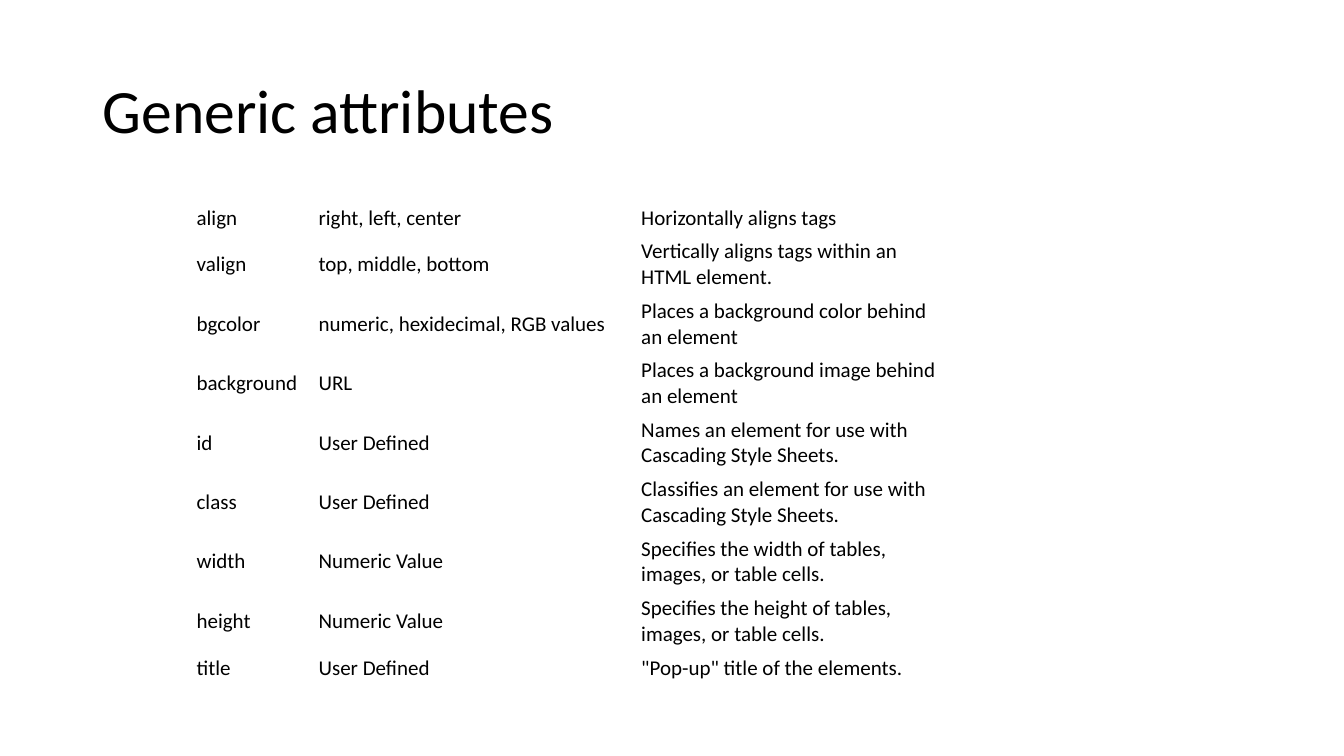
"""Build a slide with a table of generic HTML attributes."""
from pptx import Presentation
from pptx.dml.color import RGBColor
from pptx.enum.text import MSO_ANCHOR
from pptx.util import Inches, Pt

MIDDLE = MSO_ANCHOR.MIDDLE
COLORS = {"text": "000000"}
FONT = "Calibri"
COLUMN_WIDTHS = [1.21, 3.2, 3.2]
SINGLE_ROW, DOUBLE_ROW = 0.33, 0.59
ATTRIBUTES = [
    ("align", "right, left, center", "Horizontally aligns tags"),
    ("valign", "top, middle, bottom", "Vertically aligns tags within an HTML element."),
    ("bgcolor", "numeric, hexidecimal, RGB values", "Places a background color behind an element"),
    ("background", "URL", "Places a background image behind an element"),
    ("id", "User Defined", "Names an element for use with Cascading Style Sheets."),
    ("class", "User Defined", "Classifies an element for use with Cascading Style Sheets."),
    ("width", "Numeric Value", "Specifies the width of tables, images, or table cells."),
    ("height", "Numeric Value", "Specifies the height of tables, images, or table cells."),
    ("title", "User Defined", "\"Pop-up\" title of the elements."),
]
LAST_ROW = len(ATTRIBUTES) - 1
ROW_HEIGHTS = [SINGLE_ROW if row in (0, LAST_ROW) else DOUBLE_ROW for row in range(len(ATTRIBUTES))]


def write_text(text_frame, text, size, line_spacing=None):
    text_frame.word_wrap = True
    paragraph = text_frame.paragraphs[0]
    paragraph.line_spacing = line_spacing
    run = paragraph.add_run()
    run.text = text
    run.font.name = FONT
    run.font.size = Pt(size)
    run.font.color.rgb = RGBColor.from_string(COLORS["text"])


presentation = Presentation()
presentation.slide_width = Inches(13.33)
presentation.slide_height = Inches(7.5)
slide = presentation.slides.add_slide(presentation.slide_layouts[6])

title = slide.shapes.add_textbox(Inches(0.92), Inches(0.4), Inches(11.5), Inches(1.45))
title.text_frame.vertical_anchor = MIDDLE
write_text(title.text_frame, "Generic attributes", size=44, line_spacing=0.9)

table = slide.shapes.add_table(
    len(ATTRIBUTES), len(COLUMN_WIDTHS), Inches(1.87), Inches(2),
    Inches(sum(COLUMN_WIDTHS)), Inches(sum(ROW_HEIGHTS))).table
table.first_row = False
table.horz_banding = False
for column, width in zip(table.columns, COLUMN_WIDTHS):
    column.width = Inches(width)
for row, height, texts in zip(table.rows, ROW_HEIGHTS, ATTRIBUTES):
    row.height = Inches(height)
    for cell, text in zip(row.cells, texts):
        cell.fill.background()
        cell.vertical_anchor = MIDDLE
        cell.margin_left = cell.margin_right = Inches(0.08)
        cell.margin_top = cell.margin_bottom = Inches(0.04)
        write_text(cell.text_frame, text, size=15)

presentation.save("out.pptx")
